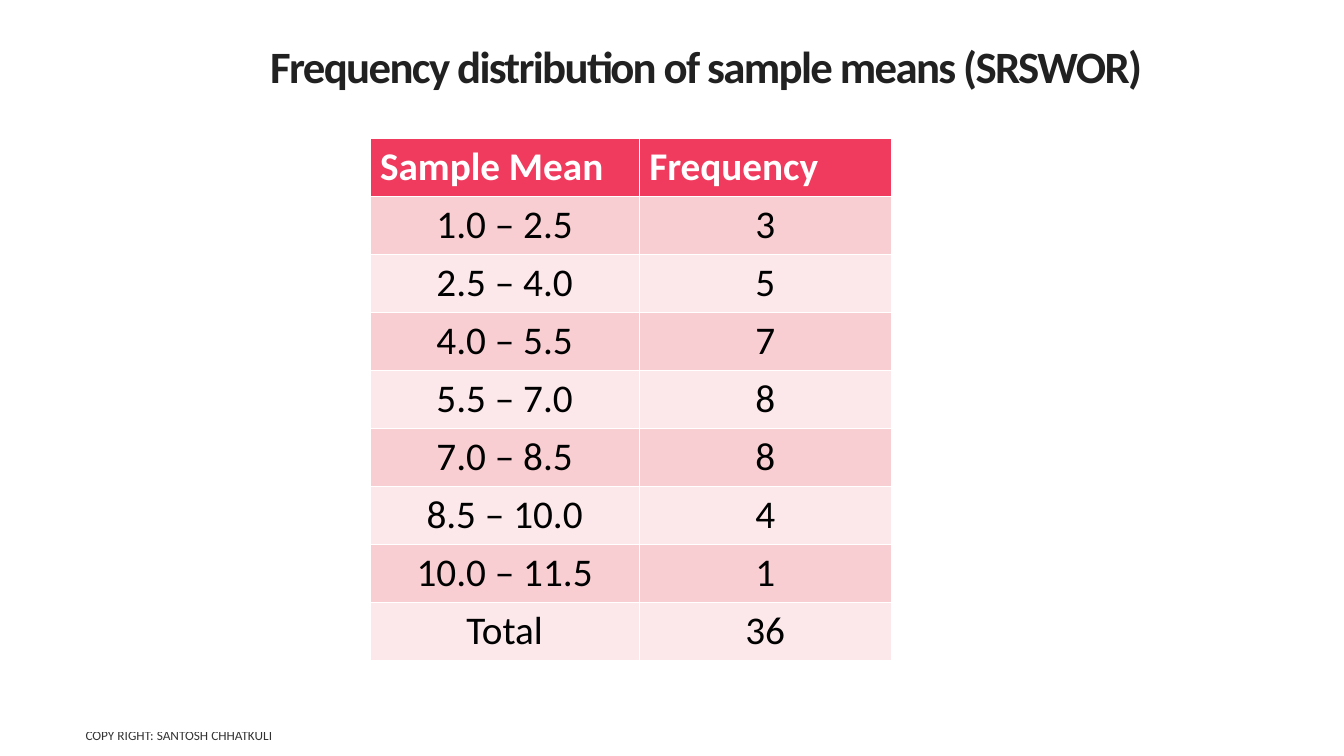
from lxml.etree import SubElement
from pptx import Presentation
from pptx.dml.color import RGBColor as Rgb
from pptx.enum.text import MSO_ANCHOR as Anchor, MSO_AUTO_SIZE as Fit, PP_ALIGN as Align
from pptx.oxml.ns import qn
from pptx.util import Inches, Pt

TITLE = {"name": "Calibri", "size": Pt(32), "bold": True}
HEAD = {"name": "Calibri", "size": Pt(28), "bold": True}
BODY = {"name": "Calibri", "size": Pt(28), "bold": False}
NOTE = {"name": "Calibri", "size": Pt(9.5), "bold": False}
BANDS = ["F9CED2", "FCE8EA"]
ROWS = [
    ("Sample Mean", "Frequency"),
    ("1.0 – 2.5", "3"),
    ("2.5 – 4.0", "5"),
    ("4.0 – 5.5", "7"),
    ("5.5 – 7.0", "8"),
    ("7.0 – 8.5", "8"),
    ("8.5 – 10.0", "4"),
    ("10.0 – 11.5", "1"),
    ("Total", "36"),
]


def paint(item, color):
    """Give a fill or font colour a hex value."""
    item.rgb = Rgb.from_string(color)


def write(frame, text, style, color, align=Align.LEFT):
    """Write one formatted paragraph and return its run."""
    para = frame.paragraphs[0]
    para.alignment = align
    run = para.add_run()
    run.text = text
    for key, value in style.items():
        setattr(run.font, key, value)
    paint(run.font.color, color)
    return run


def place(shape, box):
    """Move a text shape to a box and centre its text vertically."""
    for key, value in zip(("left", "top", "width", "height"), box):
        setattr(shape, key, Inches(value))
    frame = shape.text_frame
    frame.word_wrap = True
    frame.auto_size = Fit.NONE
    frame.vertical_anchor = Anchor.MIDDLE
    return frame


def add_title(slide, box):
    """Set the slide title with tight letter spacing."""
    frame = place(slide.shapes.title, box)
    run = write(frame, "Frequency distribution of sample means (SRSWOR)", TITLE, "212121")
    frame.paragraphs[0].line_spacing = 0.85
    run.font._element.set("spc", "-120")


def add_freq(slide, box):
    """Build the banded frequency table."""
    left, top, width, height = map(Inches, box)
    table = slide.shapes.add_table(len(ROWS), 2, left, top, width, height).table
    table.columns[0].width = Inches(2.67)
    table.columns[1].width = width - Inches(2.67)
    for i, row in enumerate(ROWS):
        for j, text in enumerate(row):
            cell = table.cell(i, j)
            cell.fill.solid()
            if i == 0:
                paint(cell.fill.fore_color, "F03B5E")
                write(cell.text_frame, text, HEAD, "FFFFFF")
            else:
                paint(cell.fill.fore_color, BANDS[(i - 1) % 2])
                write(cell.text_frame, text, BODY, "000000", Align.CENTER)


def add_foot(slide, box):
    """Add the faint footer line."""
    frame = place(slide.shapes.add_textbox(0, 0, 0, 0), box)
    run = write(frame, "COPY RIGHT: SANTOSH CHHATKULI", NOTE, "000000")
    tint = run.font._element.find(".//" + qn("a:srgbClr"))
    SubElement(tint, qn("a:alpha")).set("val", "80000")


def main():
    """Build and save the slide."""
    deck = Presentation()
    deck.slide_width, deck.slide_height = Inches(13.33), Inches(7.5)
    slide = deck.slides.add_slide(deck.slide_layouts[5])
    add_title(slide, (2.58, 0.3, 8.85, 0.78))
    add_freq(slide, (3.67, 1.37, 5.17, 5.17))
    add_foot(slide, (0.75, 7.17, 5.5, 0.25))
    deck.save("out.pptx")


if __name__ == "__main__":
    main()
